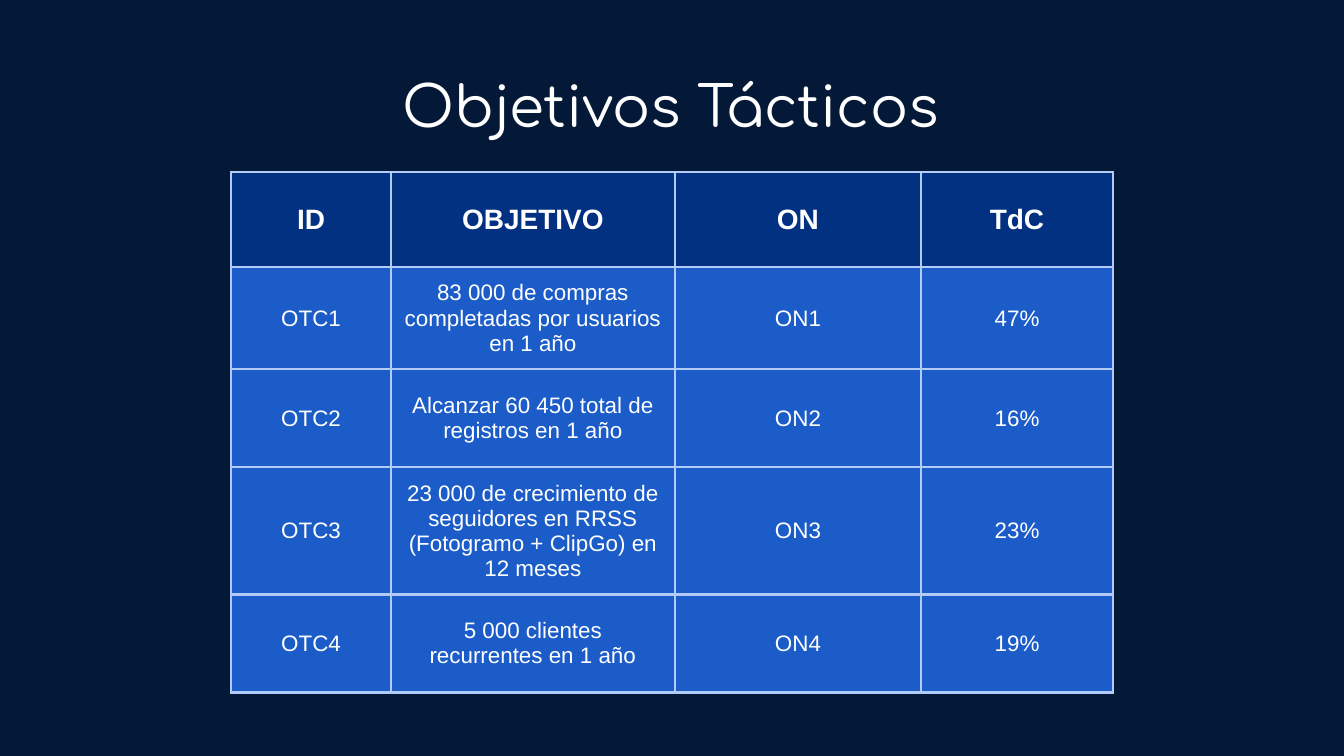
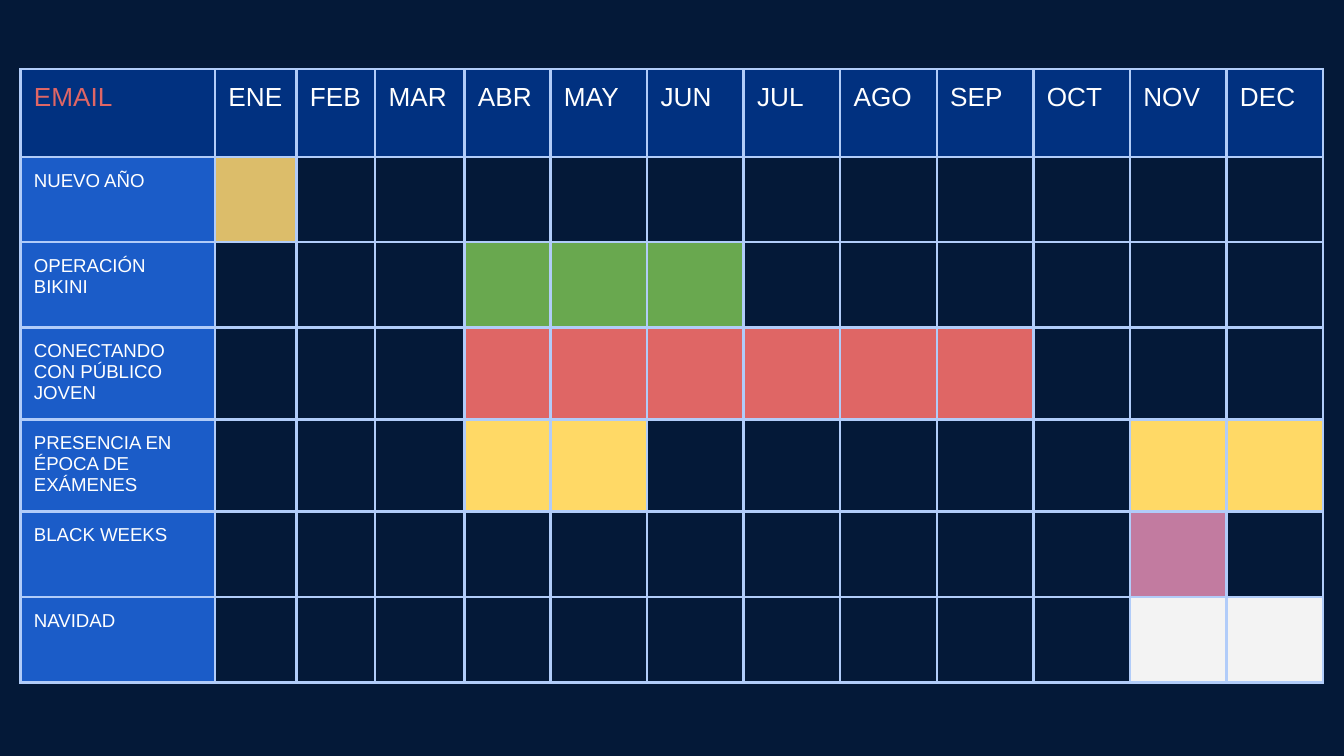
from lxml import etree
from pptx import Presentation
from pptx import util as u
from pptx.dml import color
from pptx.enum import text
from pptx.oxml import ns

COLORS = {
    "background": "041938",
    "header": "013180",
    "body": "1B5CC8",
    "border": "B1CCF9",
    "white": "FFFFFF",
    "gold": "DCBD6A",
    "green": "69A84F",
    "red": "DF6665",
    "yellow": "FFD966",
    "mauve": "C27BA0",
    "pale": "F3F3F3",
}
TITLE_FONT = "Comfortaa"
BODY_FONT = "Arial"
INSET = u.Pt(7.2)
BORDER_WIDTH = u.Pt(1.5)
TITLE_ONLY, BLANK = 5, 6

OBJECTIVES = [
    ("ID", "OBJETIVO", "ON", "TdC"),
    ("OTC1", "83 000 de compras completadas por usuarios en 1 año", "ON1", "47%"),
    ("OTC2", "Alcanzar 60 450 total de registros en 1 año", "ON2", "16%"),
    ("OTC3", "23 000 de crecimiento de seguidores en RRSS (Fotogramo + ClipGo) en 12 meses",
     "ON3", "23%"),
    ("OTC4", "5 000 clientes recurrentes en 1 año", "ON4", "19%"),
]

MONTHS = "ENE FEB MAR ABR MAY JUN JUL AGO SEP OCT NOV DEC".split()
CAMPAIGNS = [
    ("NUEVO AÑO", "gold", "ENE"),
    ("OPERACIÓN BIKINI", "green", "ABR MAY JUN"),
    ("CONECTANDO CON PÚBLICO JOVEN", "red", "ABR MAY JUN JUL AGO SEP"),
    ("PRESENCIA EN ÉPOCA DE EXÁMENES", "yellow", "ABR MAY NOV DEC"),
    ("BLACK WEEKS", "mauve", "NOV"),
    ("NAVIDAD", "pale", "NOV DEC"),
]


def rgb(name):
    return color.RGBColor.from_string(COLORS[name])


class Deck:
    def __init__(self):
        self.presentation = Presentation()
        self.presentation.slide_width = u.Pt(720)
        self.presentation.slide_height = u.Pt(405)
        self.slide = None

    def add_slide(self, layout):
        layouts = self.presentation.slide_layouts
        self.slide = self.presentation.slides.add_slide(layouts[layout])
        fill = self.slide.background.fill
        fill.solid()
        fill.fore_color.rgb = rgb("background")

    def style(self, paragraph, font_name, size, font_color="white", bold=False,
              align=text.PP_ALIGN.LEFT):
        paragraph.alignment = align
        font = paragraph.font
        font.name, font.size, font.bold = font_name, u.Pt(size), bold
        font.color.rgb = rgb(font_color)

    def title(self, wording, left, top, width, height):
        shape = self.slide.shapes.title
        shape.left, shape.top = u.Pt(left), u.Pt(top)
        shape.width, shape.height = u.Pt(width), u.Pt(height)
        frame = shape.text_frame
        frame.text = wording
        frame.word_wrap = True
        frame.auto_size = text.MSO_AUTO_SIZE.NONE
        frame.vertical_anchor = text.MSO_ANCHOR.TOP
        frame.margin_left = frame.margin_right = INSET
        frame.margin_top = frame.margin_bottom = INSET
        self.style(frame.paragraphs[0], TITLE_FONT, 30.2, align=text.PP_ALIGN.CENTER)

    def table(self, left, top, widths, heights):
        frame = self.slide.shapes.add_table(
            len(heights), len(widths), u.Pt(left), u.Pt(top),
            u.Pt(sum(widths)), u.Pt(sum(heights)))
        table = frame.table
        table.first_row = table.horz_banding = False
        for column, width in zip(table.columns, widths):
            column.width = u.Pt(width)
        for row, height in zip(table.rows, heights):
            row.height = u.Pt(height)
        for cell in table.iter_cells():
            cell.margin_left = cell.margin_right = INSET
            cell.margin_top = cell.margin_bottom = INSET
            self.border(cell)
            cell.fill.background()
        return table

    def border(self, cell):
        properties = cell._tc.get_or_add_tcPr()
        for side in ("a:lnL", "a:lnR", "a:lnT", "a:lnB"):
            line = etree.SubElement(properties, ns.qn(side), w=str(BORDER_WIDTH))
            fill = etree.SubElement(line, ns.qn("a:solidFill"))
            etree.SubElement(fill, ns.qn("a:srgbClr"), val=COLORS["border"])

    def fill(self, cell, name):
        cell.fill.solid()
        cell.fill.fore_color.rgb = rgb(name)

    def label(self, cell, wording, fill, size, anchor=text.MSO_ANCHOR.TOP, **style):
        self.fill(cell, fill)
        cell.vertical_anchor = anchor
        cell.text = wording
        self.style(cell.text_frame.paragraphs[0], BODY_FONT, size, **style)


def build_objectives(deck):
    deck.add_slide(TITLE_ONLY)
    deck.title("Objetivos Tácticos", 179.3, 31, 360.7, 51.1)
    table = deck.table(123.9, 92, [85.5, 152.2, 131.8, 103], [51.1] + [52.5] * 4)
    for row, wordings in enumerate(OBJECTIVES):
        header = row == 0
        for column, wording in enumerate(wordings):
            deck.label(table.cell(row, column), wording,
                       "header" if header else "body", 15 if header else 12,
                       text.MSO_ANCHOR.MIDDLE, bold=header,
                       align=text.PP_ALIGN.CENTER)


def build_calendar(deck):
    deck.add_slide(BLANK)
    widths = [104.2, 43.7, 42.2, 47.8, 46.1] + [51.75] * 8
    heights = [46.9, 45.7, 45.7, 49.4, 49.4, 45.7, 45.7]
    table = deck.table(11, 37.1, widths, heights)
    deck.label(table.cell(0, 0), "EMAIL", "header", 14, font_color="red")
    for column, month in enumerate(MONTHS, 1):
        deck.label(table.cell(0, column), month, "header", 14)
    for row, (campaign, fill, active) in enumerate(CAMPAIGNS, 1):
        deck.label(table.cell(row, 0), campaign, "body", 10)
        for month in active.split():
            deck.fill(table.cell(row, MONTHS.index(month) + 1), fill)


def main():
    deck = Deck()
    build_objectives(deck)
    build_calendar(deck)
    deck.presentation.save("out.pptx")


if __name__ == "__main__":
    main()
